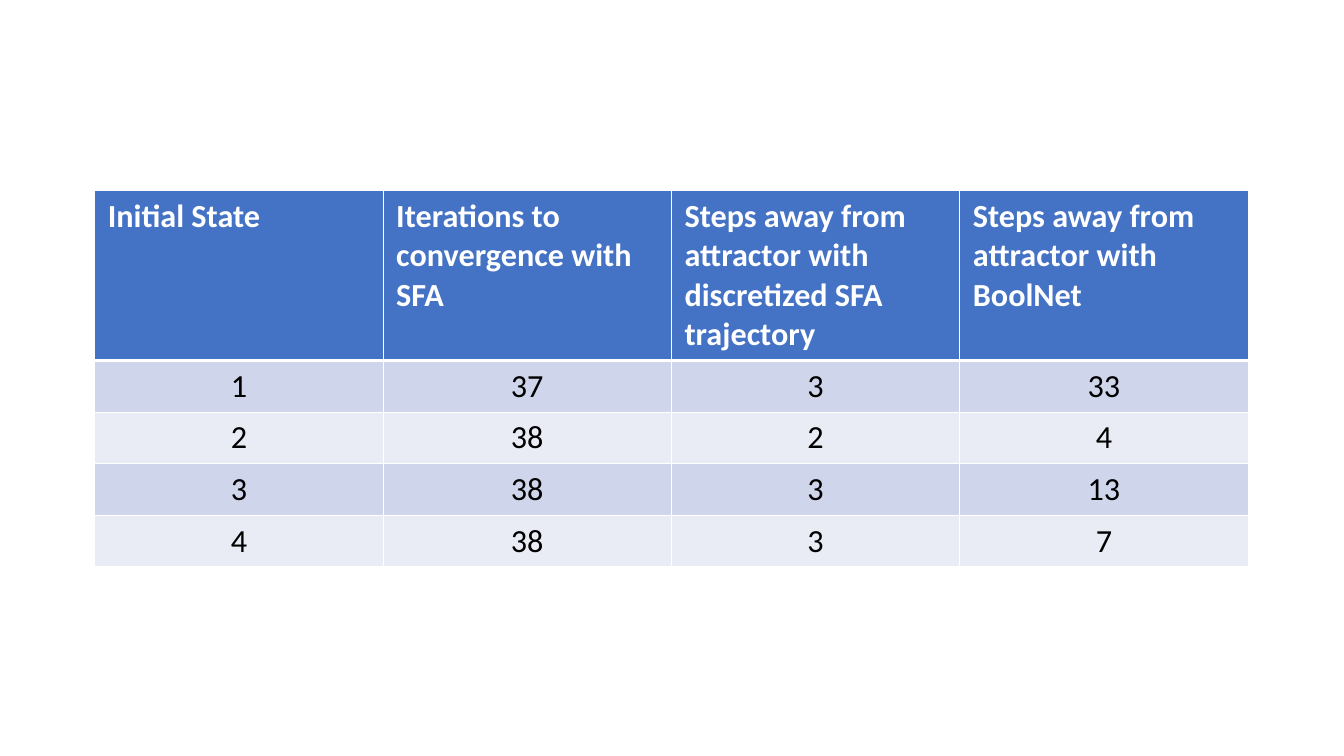
from dataclasses import dataclass

from lxml import etree
from pptx import Presentation
from pptx.dml.color import RGBColor
from pptx.enum.text import PP_ALIGN
from pptx.oxml.ns import qn
from pptx.util import Inches, Pt

LEFT, CENTER = PP_ALIGN.LEFT, PP_ALIGN.CENTER
WHITE = RGBColor(0xFF, 0xFF, 0xFF)
BLACK = RGBColor(0x00, 0x00, 0x00)
BLUE = RGBColor(0x44, 0x72, 0xC4)
BAND_DARK = RGBColor(0xCF, 0xD5, 0xEA)
BAND_LIGHT = RGBColor(0xE9, 0xEB, 0xF5)

SLIDE_W, SLIDE_H = Inches(13.33), Inches(7.5)
TABLE_LEFT, TABLE_TOP = Inches(0.94), Inches(1.89)
COL_W = Inches(2.86)
HEADER_H, BODY_H = Inches(1.67), Inches(0.51)
MARGIN_X, MARGIN_Y = Inches(0.13), Inches(0.06)
FONT, FONT_SIZE = "Calibri", Pt(23)
THIN, THICK = Pt(1), Pt(3)

HEADER = (
    "Initial State",
    "Iterations to convergence with SFA",
    "Steps away from attractor with discretized SFA trajectory",
    "Steps away from attractor with BoolNet",
)
RESULTS = ((1, 37, 3, 33), (2, 38, 2, 4), (3, 38, 3, 13), (4, 38, 3, 7))


@dataclass(frozen=True)
class RowStyle:
    fill: RGBColor
    color: RGBColor = BLACK
    bold: bool = False
    align: PP_ALIGN = CENTER
    top: int = THIN
    bottom: int = THIN


HEADER_STYLE = RowStyle(BLUE, WHITE, True, LEFT, bottom=THICK)
FIRST_STYLE = RowStyle(BAND_DARK, top=THICK)
BAND_STYLES = (RowStyle(BAND_DARK), RowStyle(BAND_LIGHT))


def row_style(index: int) -> RowStyle:
    if index == 0:
        return HEADER_STYLE
    if index == 1:
        return FIRST_STYLE
    return BAND_STYLES[(index - 1) % 2]


def set_borders(cell, style: RowStyle) -> None:
    widths = {"lnL": THIN, "lnR": THIN, "lnT": style.top, "lnB": style.bottom}
    tcPr = cell._tc.get_or_add_tcPr()
    for side, width in widths.items():
        ln = etree.SubElement(tcPr, qn(f"a:{side}"), w=str(width))
        fill = etree.SubElement(ln, qn("a:solidFill"))
        etree.SubElement(fill, qn("a:srgbClr"), val=str(WHITE))


def format_cell(cell, text: str, style: RowStyle) -> None:
    cell.margin_left = cell.margin_right = MARGIN_X
    cell.margin_top = cell.margin_bottom = MARGIN_Y
    set_borders(cell, style)
    cell.fill.solid()
    cell.fill.fore_color.rgb = style.fill
    cell.text_frame.text = text
    p = cell.text_frame.paragraphs[0]
    p.alignment = style.align
    font = p.runs[0].font
    font.name, font.size, font.bold = FONT, FONT_SIZE, style.bold
    font.color.rgb = style.color


def add_results_table(slide) -> None:
    rows = (HEADER, *RESULTS)
    width = COL_W * len(HEADER)
    height = HEADER_H + BODY_H * len(RESULTS)
    table = slide.shapes.add_table(
        len(rows), len(HEADER), TABLE_LEFT, TABLE_TOP, width, height
    ).table
    for column in table.columns:
        column.width = COL_W
    for i, values in enumerate(rows):
        table.rows[i].height = BODY_H if i else HEADER_H
        for j, value in enumerate(values):
            format_cell(table.cell(i, j), str(value), row_style(i))


def main() -> None:
    prs = Presentation()
    prs.slide_width, prs.slide_height = SLIDE_W, SLIDE_H
    slide = prs.slides.add_slide(prs.slide_layouts[6])
    add_results_table(slide)
    prs.save("out.pptx")


if __name__ == "__main__":
    main()
